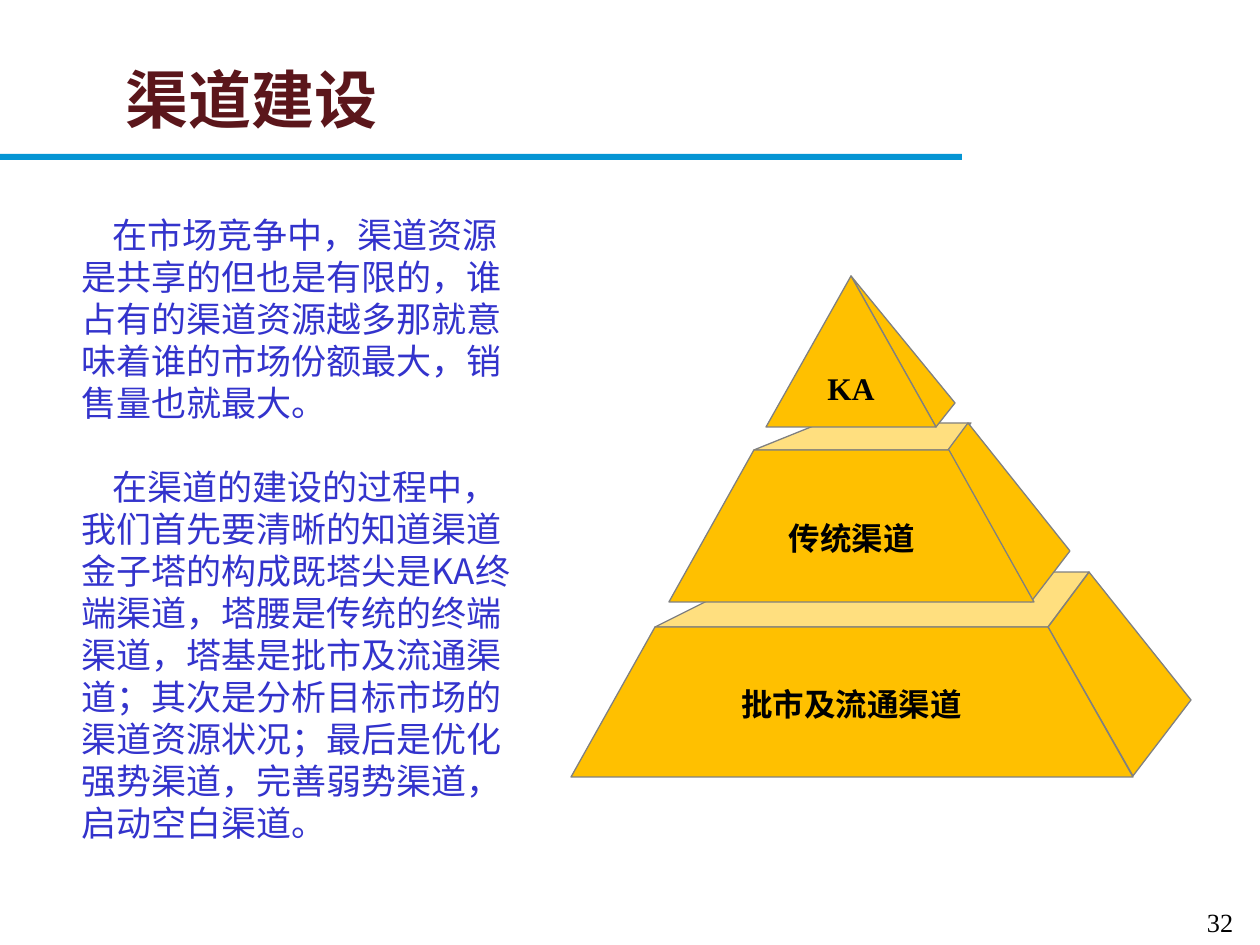
"""Build the channel pyramid slide."""
from dataclasses import dataclass

from lxml.etree import SubElement
from pptx import Presentation
from pptx.dml.color import RGBColor
from pptx.enum.shapes import MSO_SHAPE
from pptx.enum.text import MSO_ANCHOR, PP_ALIGN
from pptx.oxml.ns import qn
from pptx.util import Pt

SCALE = 914400 / 126
BLUE = RGBColor(0x05, 0x95, 0xD4)
INK = RGBColor(0x33, 0x33, 0xCC)
MAROON = RGBColor(0x5B, 0x16, 0x1B)
BLACK = RGBColor(0, 0, 0)
GOLD = RGBColor(0xFF, 0xC0, 0x00)
GRAY = RGBColor(0x80, 0x80, 0x80)
SERIF = "Times New Roman"
SANS = "Noto Sans CJK SC"


@dataclass(frozen=True)
class Face:
    points: tuple[tuple[int, int], ...]
    clear: bool = False


@dataclass(frozen=True)
class Label:
    text: str
    box: tuple[int, int, int, int]
    size: int = 18
    color: RGBColor = BLACK
    font: str = SERIF
    bold: bool = True
    align: PP_ALIGN = PP_ALIGN.CENTER
    anchor: MSO_ANCHOR = MSO_ANCHOR.MIDDLE
    inset: tuple[int, int] = (0, 0)
    wrap: bool = True
    indent: int = 0
    lead: int = 0


FACES = (
    Face(((1048, 627), (1133, 776), (1191, 700), (1089, 572))),
    Face(((655, 627), (1048, 627), (1089, 572), (765, 572)), True),
    Face(((571, 777), (1133, 777), (1048, 627), (655, 627))),
    Face(((754, 450), (950, 450), (971, 423), (821, 423)), True),
    Face(((1031, 602), (1070, 551), (968, 423), (948, 450))),
    Face(((669, 602), (1034, 602), (949, 450), (754, 450))),
    Face(((936, 427), (955, 403), (851, 276))),
    Face(((766, 427), (936, 427), (851, 276))),
)
BODY = (
    "在市场竞争中，渠道资源是共享的但也是有限的，谁占有的渠道资源越多那就意味着谁的市场份额最大，销售量也就最大。\n"
    "在渠道的建设的过程中，我们首先要清晰的知道渠道金子塔的构成既塔尖是KA终端渠道，塔腰是传统的终端渠道，"
    "塔基是批市及流通渠道；其次是分析目标市场的渠道资源状况；最后是优化强势渠道，完善弱势渠道，启动空白渠道。"
)
LABELS = (
    Label("32", (1198, 901, 51, 42), 15, bold=False, align=PP_ALIGN.LEFT,
          anchor=MSO_ANCHOR.TOP, inset=(9, 5), wrap=False),
    Label("渠道建设", (116, 50, 910, 97), 36, MAROON,
          align=PP_ALIGN.LEFT, inset=(10, 5)),
    Label(BODY, (69, 207, 462, 649), 20, INK, SANS, False, PP_ALIGN.LEFT,
          MSO_ANCHOR.TOP, (12, 6), indent=31, lead=24),
    Label("传统渠道", (747, 519, 209, 37)),
    Label("KA", (811, 369, 80, 37)),
    Label("批市及流通渠道", (651, 685, 401, 37)),
)


def emu(px: int) -> int:
    return round(px * SCALE)


def draw_face(slide, face: Face) -> None:
    first, *rest = face.points
    form = slide.shapes.build_freeform(*first, scale=SCALE)
    form.add_line_segments(rest, close=True)
    shape = form.convert_to_shape()
    shape.shadow.inherit = False
    shape.fill.solid()
    shape.fill.fore_color.rgb = GOLD
    shape.line.color.rgb = GRAY
    shape.line.width = Pt(0.75)
    if face.clear:
        tint = shape.fill._xPr.find(f".//{qn('a:srgbClr')}")
        SubElement(tint, qn("a:alpha"), val="50000")


def draw_label(slide, label: Label) -> None:
    frame = slide.shapes.add_textbox(*map(emu, label.box)).text_frame
    frame.word_wrap = label.wrap
    frame.vertical_anchor = label.anchor
    frame.margin_left = frame.margin_right = emu(label.inset[0])
    frame.margin_top = frame.margin_bottom = emu(label.inset[1])
    for i, text in enumerate(label.text.split("\n")):
        para = frame.add_paragraph() if i else frame.paragraphs[0]
        para.alignment = label.align
        if label.lead:
            para.line_spacing = Pt(label.lead)
            para.space_before = Pt(label.lead if i else 0)
        if label.indent:
            para._p.get_or_add_pPr().set("indent", str(emu(label.indent)))
        run = para.add_run()
        run.text = text
        font = run.font
        font.size = Pt(label.size)
        font.bold = label.bold
        font.color.rgb = label.color
        font.name = label.font
        SubElement(font._element, qn("a:ea"), typeface=SANS)


def main() -> None:
    deck = Presentation()
    deck.slide_width, deck.slide_height = emu(1260), emu(945)
    slide = deck.slides.add_slide(deck.slide_layouts[6])
    bar = slide.shapes.add_shape(
        MSO_SHAPE.RECTANGLE, *map(emu, (-1, 154, 963, 6)))
    bar.shadow.inherit = False
    bar.fill.solid()
    bar.fill.fore_color.rgb = BLUE
    bar.line.fill.background()
    for face in FACES:
        draw_face(slide, face)
    for label in LABELS:
        draw_label(slide, label)
    deck.save("out.pptx")


if __name__ == "__main__":
    main()
